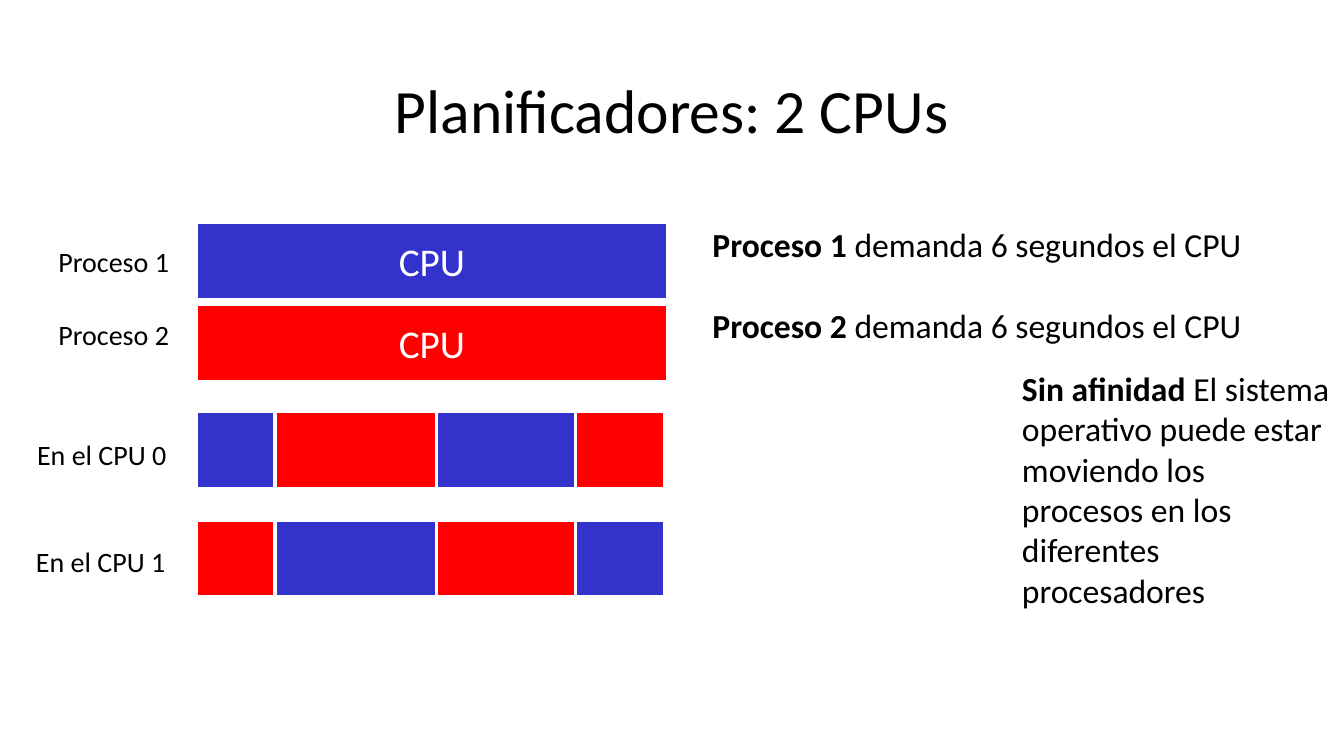
from dataclasses import dataclass
from itertools import pairwise

from pptx import Presentation
from pptx import util as u
from pptx.dml.color import RGBColor
from pptx.enum import shapes, text


@dataclass(frozen=True)
class Theme:
    font: str = "Calibri"
    ink: str = "000000"
    paper: str = "FFFFFF"
    process_1: str = "3333CC"
    process_2: str = "FF0000"
    title_size: float = 44
    bar_size: float = 28
    body_size: float = 24
    label_size: float = 20
    border: float = 2.25


class SlideBuilder:
    def __init__(self, slide, theme):
        self.slide = slide
        self.theme = theme

    def style(self, paragraph, size, color):
        for run in paragraph.runs:
            run.font.name = self.theme.font
            run.font.size = u.Pt(size)
            run.font.color.rgb = RGBColor.from_string(color)

    def title(self, wording, left, top, width, height):
        heading = self.slide.shapes.title
        heading.left, heading.top = u.Pt(left), u.Pt(top)
        heading.width, heading.height = u.Pt(width), u.Pt(height)
        frame = heading.text_frame
        frame.text = wording
        frame.vertical_anchor = text.MSO_ANCHOR.MIDDLE
        paragraph = frame.paragraphs[0]
        paragraph.alignment = text.PP_ALIGN.CENTER
        paragraph.line_spacing = 0.9
        self.style(paragraph, self.theme.title_size, self.theme.ink)

    def bar(self, left, top, width, height, color, wording=""):
        block = self.slide.shapes.add_shape(
            shapes.MSO_SHAPE.RECTANGLE,
            u.Pt(left), u.Pt(top), u.Pt(width), u.Pt(height))
        block.shadow.inherit = False
        block.fill.solid()
        block.fill.fore_color.rgb = RGBColor.from_string(color)
        block.line.color.rgb = RGBColor.from_string(self.theme.paper)
        block.line.width = u.Pt(self.theme.border)
        if wording:
            frame = block.text_frame
            frame.text = wording
            frame.vertical_anchor = text.MSO_ANCHOR.MIDDLE
            paragraph = frame.paragraphs[0]
            paragraph.alignment = text.PP_ALIGN.CENTER
            self.style(paragraph, self.theme.bar_size, self.theme.paper)

    def note(self, left, top, width, height, entries, size, wrap=True, gap=0):
        box = self.slide.shapes.add_textbox(
            u.Pt(left), u.Pt(top), u.Pt(width), u.Pt(height))
        frame = box.text_frame
        frame.word_wrap = wrap
        frame.auto_size = text.MSO_AUTO_SIZE.SHAPE_TO_FIT_TEXT
        for index, (lead, rest) in enumerate(entries):
            paragraph = frame.add_paragraph() if index else frame.paragraphs[0]
            if index:
                paragraph.space_before = u.Pt(gap)
            if lead:
                paragraph.text = lead
                paragraph.runs[0].font.bold = True
            paragraph.add_run().text = rest
            self.style(paragraph, size, self.theme.ink)


def main():
    theme = Theme()
    deck = Presentation()
    deck.slide_width, deck.slide_height = u.Pt(960), u.Pt(540)
    builder = SlideBuilder(deck.slides.add_slide(deck.slide_layouts[5]), theme)
    builder.title("Planificadores: 2 CPUs", 66, 28.75, 828, 104.4)

    process_colors = theme.process_1, theme.process_2
    bar_left, bar_height = 140, 54.7
    for top, color in zip((159, 217.6), process_colors):
        builder.bar(bar_left, top, 337, bar_height, color, "CPU")

    turn_edges = bar_left, 196.5, 312, 411, 475
    for cpu, top in enumerate((294.2, 371.7)):
        for turn, (start, end) in enumerate(pairwise(turn_edges)):
            builder.bar(start, top, end - start, bar_height,
                        process_colors[(cpu + turn) % 2])

    row_labels = (
        ("Proceso 1", 34.6, 171.4, 94.5, False),
        ("Proceso 2", 34.6, 223.4, 94.5, False),
        ("En el CPU 0", 19.4, 309.2, 123, True),
        ("En el CPU 1", 18.6, 385.2, 123, True),
    )
    for label, left, top, width, wrap in row_labels:
        builder.note(left, top, width, 31.5, [("", label)],
                     theme.label_size, wrap)

    builder.note(722.9, 259.2, 237, 181.7, [
        ("Sin afinidad", " El sistema operativo puede estar moviendo los "
                         "procesos en los diferentes procesadores"),
    ], theme.body_size)
    demand = " demanda 6 segundos el CPU"
    builder.note(501.8, 156.3, 394.6, 94.5,
                 [("Proceso 1", demand), ("Proceso 2", demand)],
                 theme.body_size, wrap=False, gap=29)
    deck.save("out.pptx")


if __name__ == "__main__":
    main()
